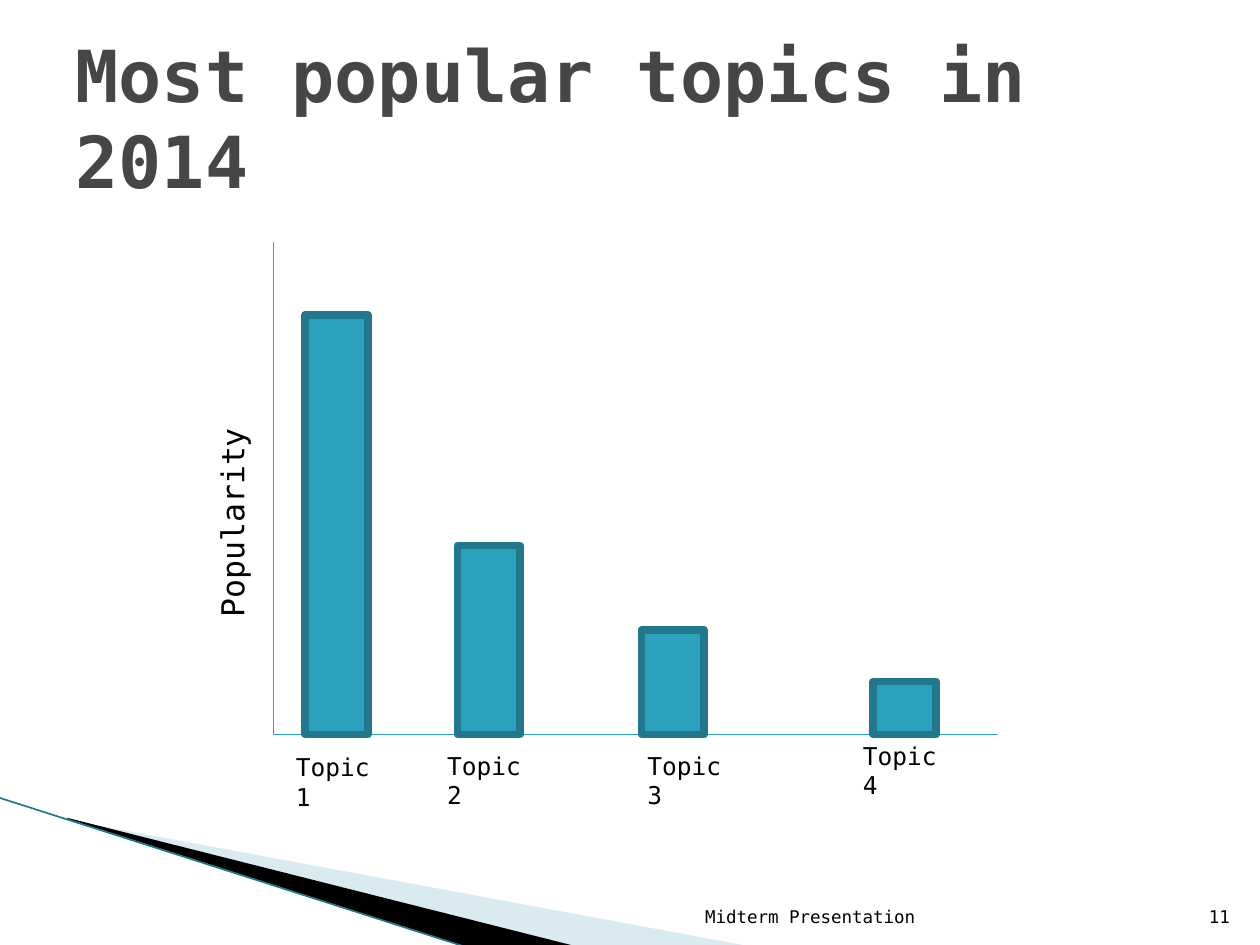
from lxml import etree
from pptx import Presentation
from pptx.dml.color import RGBColor
from pptx.enum.shapes import MSO_CONNECTOR, MSO_SHAPE
from pptx.enum.text import MSO_ANCHOR, MSO_AUTO_SIZE, PP_ALIGN
from pptx.oxml.ns import qn
from pptx.util import Inches, Pt

STRAIGHT, RECTANGLE = MSO_CONNECTOR.STRAIGHT, MSO_SHAPE.RECTANGLE
LEFT, RIGHT = PP_ALIGN.LEFT, PP_ALIGN.RIGHT
TOP, MIDDLE, BOTTOM = MSO_ANCHOR.TOP, MSO_ANCHOR.MIDDLE, MSO_ANCHOR.BOTTOM
NO_AUTOFIT = MSO_AUTO_SIZE.NONE

TITLE = "Most popular topics in 2014"
FOOTER = "Midterm Presentation"
SLIDE_NUMBER = "11"
AXIS_LABEL = "Popularity"
# label, bar left, bar height, label left, label top
TOPICS = [
    ("Topic1", 2.42, 3.33, 2.25, 5.92),
    ("Topic2", 3.63, 1.5, 3.45, 5.91),
    ("Topic3", 5.09, 0.83, 5.04, 5.91),
    ("Topic4", 6.93, 0.42, 6.75, 5.83),
]
SWOOSHES = [
    ([(0.55, 6.51), (5.95, 7.51), (4.56, 7.51), (0.55, 6.5)], "swoosh", 40),
    ([(0.53, 6.49), (4.57, 7.51), (3.72, 7.52), (0.54, 6.5)], "text", 100),
]
AXIS_LEFT, AXIS_TOP, AXIS_RIGHT, BASELINE = 2.17, 1.92, 7.92, 5.83
BAR_WIDTH = 0.5

THEME = {
    "font": "DejaVu Sans Mono",
    "colors": {"title": "464646", "text": "000000", "bar": "2DA2BF",
               "edge": "21788D", "swoosh": "A0CBDC"},
    "sizes": {"title": 41, "axis": 18, "topic": 14, "footer": 10},
    "lines": {"edge": 4.33, "axis": 0.75, "swoosh": 0.95},
}


def color(role):
    return RGBColor.from_string(THEME["colors"][role])


def write(holder, text, size, role="text", align=LEFT, anchor=TOP, bold=False):
    frame = holder.text_frame
    frame.word_wrap = True
    frame.auto_size = NO_AUTOFIT
    frame.vertical_anchor = anchor
    frame.text = text
    paragraph = frame.paragraphs[0]
    paragraph.alignment = align
    font = paragraph.font
    font.name = THEME["font"]
    font.size = Pt(THEME["sizes"][size])
    font.bold = bold
    font.color.rgb = color(role)


def add_label(slide, text, box, size, **style):
    label = slide.shapes.add_textbox(*map(Inches, box))
    write(label, text, size, **style)
    return label


def add_line(slide, start, end, role, weight):
    line = slide.shapes.add_connector(STRAIGHT, *map(Inches, start + end))
    line.line.color.rgb = color(role)
    line.line.width = Pt(THEME["lines"][weight])
    etree.SubElement(line._element.spPr, qn("a:effectLst"))


def add_swoosh(slide, points, role, opacity):
    corners = [(Inches(x), Inches(y)) for x, y in points]
    builder = slide.shapes.build_freeform(*corners[0])
    builder.add_line_segments(corners[1:], close=True)
    swoosh = builder.convert_to_shape()
    swoosh.shadow.inherit = False
    swoosh.fill.solid()
    swoosh.fill.fore_color.rgb = color(role)
    swoosh.line.fill.background()
    if opacity < 100:
        fill_color = swoosh._element.spPr.find(qn("a:solidFill"))[0]
        etree.SubElement(fill_color, qn("a:alpha"), val=str(opacity * 1000))


def add_bar(slide, left, height):
    box = (left, BASELINE - height, BAR_WIDTH, height)
    bar = slide.shapes.add_shape(RECTANGLE, *map(Inches, box))
    bar.shadow.inherit = False
    bar.fill.solid()
    bar.fill.fore_color.rgb = color("bar")
    bar.line.color.rgb = color("edge")
    bar.line.width = Pt(THEME["lines"]["edge"])


def main():
    deck = Presentation()
    deck.slide_width, deck.slide_height = Inches(10), Inches(7.5)
    slide = deck.slides.add_slide(deck.slide_layouts[5])

    for points, role, opacity in SWOOSHES:
        add_swoosh(slide, points, role, opacity)
    add_line(slide, (-0.01, 6.33), (3.71, 7.52), "edge", "swoosh")

    title = slide.shapes.title
    title.left, title.top, title.width, title.height = map(Inches, (0.5, 0.3, 9, 1.25))
    write(title, TITLE, "title", role="title", anchor=MIDDLE, bold=True)
    add_label(slide, FOOTER, (4.79, 7.01, 2.57, 0.4), "footer", align=RIGHT, anchor=BOTTOM)
    add_label(slide, SLIDE_NUMBER, (9.46, 7.01, 0.4, 0.4), "footer", align=RIGHT, anchor=BOTTOM)

    origin = (AXIS_LEFT, BASELINE)
    add_line(slide, (AXIS_LEFT, AXIS_TOP), origin, "bar", "axis")
    add_line(slide, (AXIS_RIGHT, BASELINE), origin, "bar", "axis")
    add_label(slide, AXIS_LABEL, (0.88, 3.84, 1.92, 0.4), "axis").rotation = 270

    for topic, bar_left, bar_height, label_left, label_top in TOPICS:
        add_label(slide, topic, (label_left, label_top, 0.85, 0.34), "topic")
        add_bar(slide, bar_left, bar_height)

    deck.save("out.pptx")


if __name__ == "__main__":
    main()
